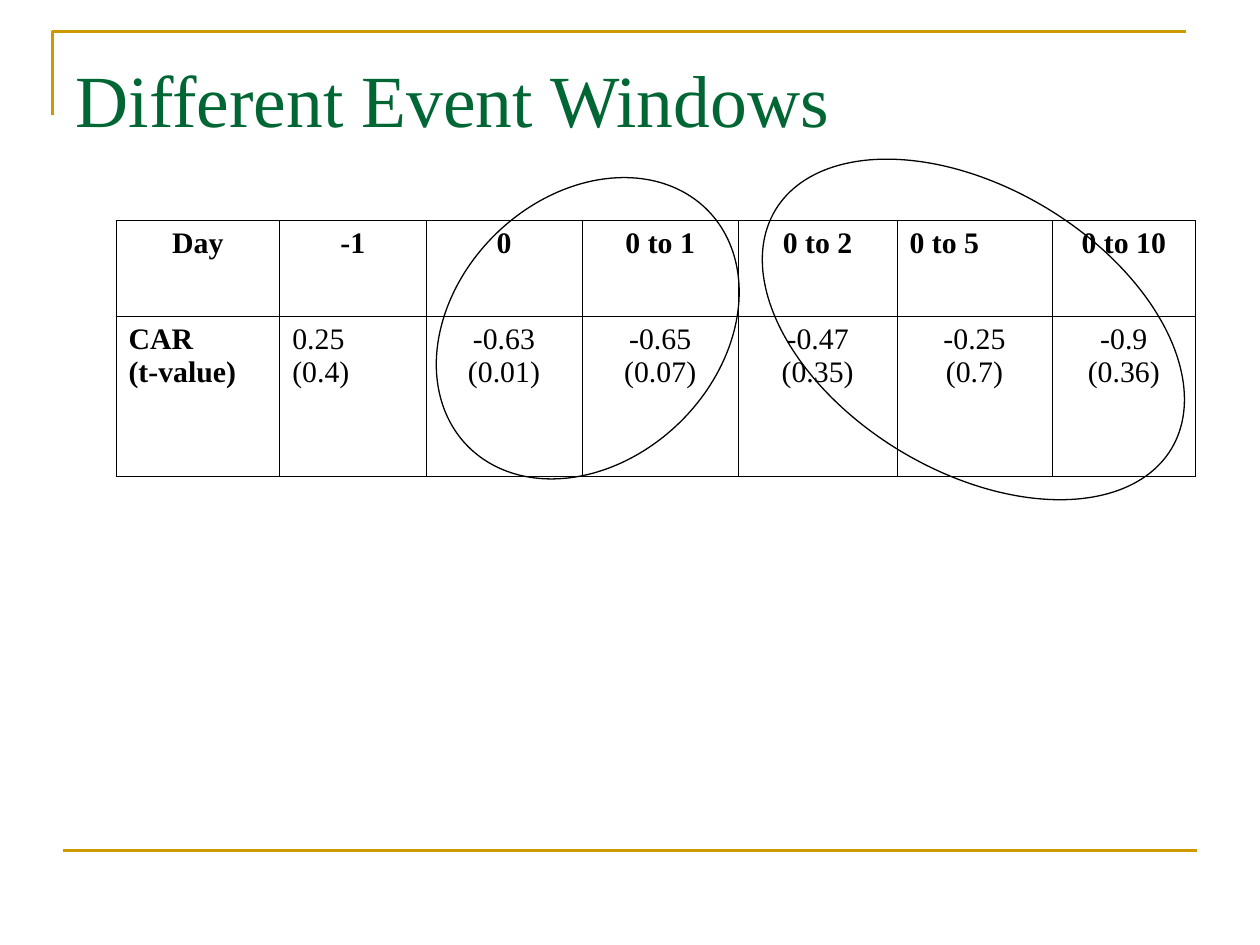
from dataclasses import dataclass

import pptx
import pptx.dml.color
import pptx.enum.shapes
import pptx.enum.text
import pptx.oxml
import pptx.oxml.ns
import pptx.util
from lxml import etree

Pt = pptx.util.Pt
ALIGN = pptx.enum.text.PP_ALIGN
ANCHOR = pptx.enum.text.MSO_ANCHOR

GOLD = pptx.dml.color.RGBColor(0xCC, 0x99, 0x00)
GREEN = pptx.dml.color.RGBColor(0x00, 0x66, 0x33)
BLACK = pptx.dml.color.RGBColor(0x00, 0x00, 0x00)
FONT = "Times New Roman"
COLUMNS = [93.6, 83.52, 89.28, 89.28, 90.72, 88.56, 82.08]
ROWS = [54.72, 91.44]


@dataclass
class Entry:
    text: str
    bold: bool = False
    align: ALIGN = ALIGN.CENTER


@dataclass
class Ring:
    left: float
    top: float
    width: float
    height: float
    rotation: float


ENTRIES = [
    [
        Entry("Day", True),
        Entry("-1", True),
        Entry("0", True),
        Entry("0 to 1", True),
        Entry("0 to 2", True),
        Entry("0 to 5", True, ALIGN.LEFT),
        Entry("0 to 10", True),
    ],
    [
        Entry("CAR\n(t-value)", True, ALIGN.LEFT),
        Entry("0.25\n(0.4)", align=ALIGN.LEFT),
        Entry("-0.63\n(0.01)"),
        Entry("-0.65\n(0.07)"),
        Entry("-0.47\n(0.35)"),
        Entry("-0.25\n(0.7)"),
        Entry("-0.9\n(0.36)"),
    ],
]
RINGS = [
    Ring(239.76, 112.32, 192.24, 150.48, 315.6),
    Ring(424.08, 107.28, 264.24, 162, 31.1),
]


def style_font(font, size: float, color, bold: bool = False) -> None:
    font.name = FONT
    font.size = Pt(size)
    font.bold = bold
    font.color.rgb = color


def style_outline(sp, color, width: float) -> None:
    sp.fill.background()
    sp.line.color.rgb = color
    sp.line.width = Pt(width)
    sp.shadow.inherit = False


def add_frame_lines(s) -> None:
    builder = s.shapes.build_freeform(Pt(30), Pt(66))
    builder.add_line_segments([(Pt(30), Pt(18)), (Pt(678), Pt(18))], close=False)
    style_outline(builder.convert_to_shape(), GOLD, 1.5)
    line = s.shapes.add_connector(
        pptx.enum.shapes.MSO_CONNECTOR.STRAIGHT, Pt(36), Pt(486), Pt(684), Pt(486)
    )
    line.line.color.rgb = GOLD
    line.line.width = Pt(1.5)
    etree.SubElement(line._element.spPr, pptx.oxml.ns.qn("a:effectLst"))


def add_title(s, text: str) -> None:
    sp = s.shapes.title
    sp.left, sp.top, sp.width, sp.height = Pt(36), Pt(21.6), Pt(648), Pt(90)
    tf = sp.text_frame
    tf.text = text
    tf.auto_size = pptx.enum.text.MSO_AUTO_SIZE.NONE
    tf.vertical_anchor = ANCHOR.TOP
    tf.margin_top = Pt(9)
    p = tf.paragraphs[0]
    p.alignment = ALIGN.LEFT
    style_font(p.runs[0].font, 42, GREEN)


def add_borders(cell) -> None:
    tcPr = cell._tc.get_or_add_tcPr()
    for i, side in enumerate(("lnL", "lnR", "lnT", "lnB")):
        xml = (
            f'<a:{side} {pptx.oxml.ns.nsdecls("a")} w="{Pt(0.45)}">'
            f'<a:solidFill><a:srgbClr val="{BLACK}"/></a:solidFill></a:{side}>'
        )
        tcPr.insert(i, pptx.oxml.parse_xml(xml))


def fill_cell(cell, entry: Entry) -> None:
    cell.fill.background()
    add_borders(cell)
    cell.vertical_anchor = ANCHOR.TOP
    cell.text_frame.text = entry.text
    for p in cell.text_frame.paragraphs:
        p.alignment = entry.align
        pPr = p._p.get_or_add_pPr()
        pPr.set("marL", str(Pt(27)))
        pPr.set("indent", str(Pt(-27)))
        style_font(p.runs[0].font, 17, BLACK, entry.bold)


def add_result_table(s) -> None:
    frame = s.shapes.add_table(
        len(ROWS), len(COLUMNS), Pt(66.24), Pt(126), Pt(sum(COLUMNS)), Pt(sum(ROWS))
    )
    table = frame.table
    table.first_row = False
    table.horz_banding = False
    for column, width in zip(table.columns, COLUMNS):
        column.width = Pt(width)
    for row, height, entries in zip(table.rows, ROWS, ENTRIES):
        row.height = Pt(height)
        for cell, entry in zip(row.cells, entries):
            fill_cell(cell, entry)


def add_ring(s, ring: Ring) -> None:
    sp = s.shapes.add_shape(
        pptx.enum.shapes.MSO_SHAPE.OVAL,
        Pt(ring.left), Pt(ring.top), Pt(ring.width), Pt(ring.height),
    )
    sp.rotation = ring.rotation
    style_outline(sp, BLACK, 0.75)


def main() -> None:
    prs = pptx.Presentation()
    prs.slide_width, prs.slide_height = Pt(720), Pt(540)
    s = prs.slides.add_slide(prs.slide_layouts[5])
    add_frame_lines(s)
    add_title(s, "Different Event Windows")
    add_result_table(s)
    for ring in RINGS:
        add_ring(s, ring)
    prs.save("out.pptx")


if __name__ == "__main__":
    main()
